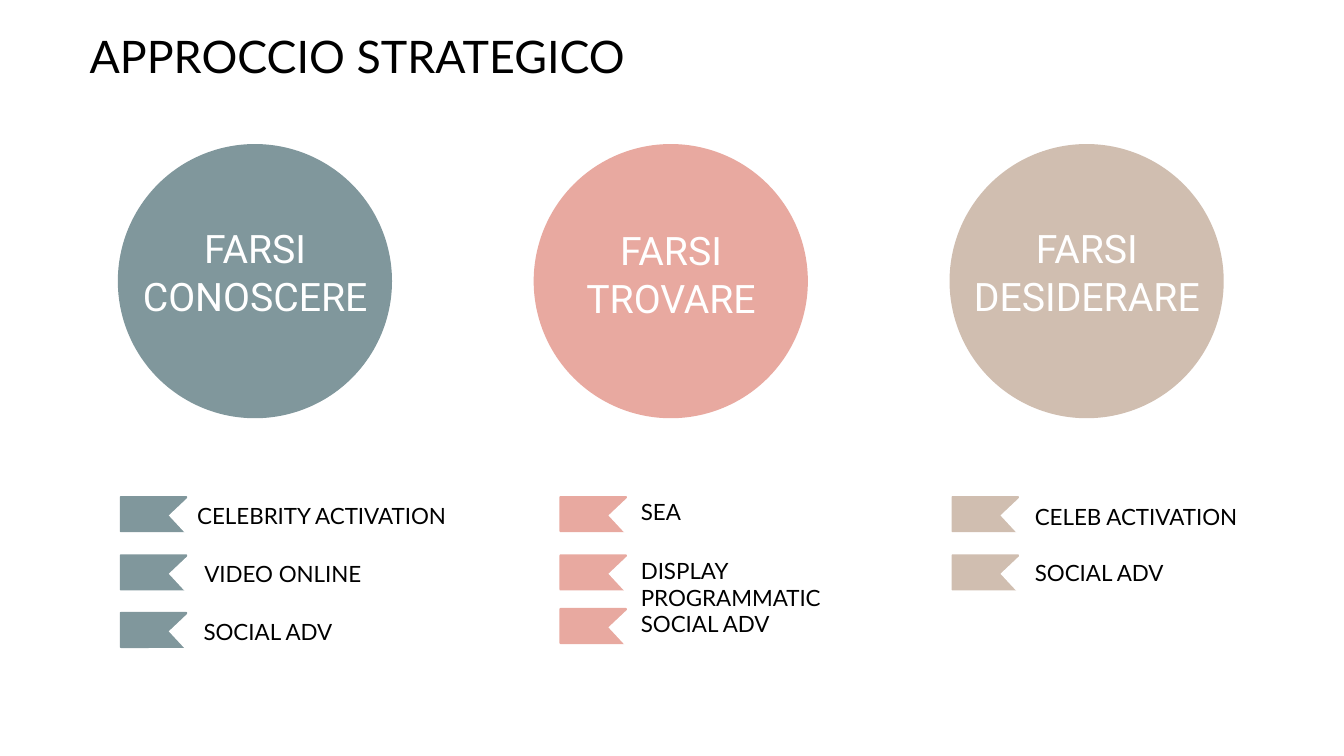
from pptx import Presentation
from pptx.dml.color import RGBColor
from pptx.enum.shapes import MSO_SHAPE as Shape
from pptx.enum.text import PP_ALIGN as Align
from pptx.util import Cm, Pt

BLACK, WHITE = "000000", "FFFFFF"
TITLE_FORMAT = {"name": "Lato", "size": Pt(32)}
CIRCLE_FORMAT = {"name": "Roboto", "size": Pt(28)}
ITEM_FORMAT = {"name": "Lato", "size": Pt(16)}

CIRCLE_LEFT, CIRCLE_TOP, CIRCLE_STEP, CIRCLE_SIZE = 2.97, 3.63, 10.48, 6.91
LABEL_OVERHANG, LABEL_WIDTH, LABEL_HEIGHT = 0.3, 7.52, 2.64
ITEM_HEIGHT = 0.94

# Each column: circle label and its top, colour, left of the tags, items.
# Each item: tag top, text, text left, text top, text width, options.
COLUMNS = [
    ("FARSI CONOSCERE", 5.54, "80979C", 3.02, [
        (12.5, "CELEBRITY ACTIVATION", 4.72, 12.52, 7.75, {}),
        (13.97, "VIDEO ONLINE", 4.9, 14, 4.57, {}),
        (15.42, "SOCIAL ADV", 4.88, 15.44, 3.78, {"wrap": False}),
    ]),
    ("FARSI TROVARE", 5.59, "E8A9A0", 14.1, [
        (12.5, "SEA", 15.9, 12.42, 1.52, {"wrap": False}),
        (13.97, "DISPLAY PROGRAMMATIC", 15.9, 13.92, 7.29, {"right_inset": 2.2}),
        (15.32, "SOCIAL ADV", 15.9, 15.24, 3.78, {"wrap": False}),
    ]),
    ("FARSI DESIDERARE", 5.54, "D0BEB0", 23.98, [
        (12.5, "CELEB ACTIVATION", 25.83, 12.55, 5.61, {"wrap": False}),
        (13.97, "SOCIAL ADV", 25.83, 13.97, 4.45, {}),
    ]),
]


def colour(value):
    return RGBColor.from_string(value)


def add_filled(shapes, kind, left, top, width, height, fill):
    shape = shapes.add_shape(kind, Cm(left), Cm(top), Cm(width), Cm(height))
    shape.shadow.inherit = False
    shape.fill.solid()
    shape.fill.fore_color.rgb = colour(fill)
    shape.line.fill.background()
    return shape


def add_text(slide, text, left, top, width, height, text_format, text_colour=BLACK,
             align=Align.LEFT, wrap=True, right_inset=0.25):
    box = slide.shapes.add_textbox(Cm(left), Cm(top), Cm(width), Cm(height))
    frame = box.text_frame
    frame.word_wrap = wrap
    frame.margin_right = Cm(right_inset)
    paragraph = frame.paragraphs[0]
    paragraph.alignment = align
    run = paragraph.add_run()
    run.text = text
    for name, value in text_format.items():
        setattr(run.font, name, value)
    run.font.color.rgb = colour(text_colour)


def add_circle(slide, left, label, label_top, fill):
    add_filled(slide.shapes, Shape.OVAL, left, CIRCLE_TOP, CIRCLE_SIZE, CIRCLE_SIZE, fill)
    add_text(slide, label, left - LABEL_OVERHANG, label_top, LABEL_WIDTH, LABEL_HEIGHT,
             CIRCLE_FORMAT, WHITE, Align.CENTER)


def add_tag(slide, left, top, fill):
    """Ribbon with a white notch cut into its right end."""
    shapes = slide.shapes.add_group_shape().shapes
    ribbon = add_filled(shapes, Shape.ROUNDED_RECTANGLE, left, top, 1.7, 0.91, fill)
    ribbon.adjustments[0] = 0.033
    notch = add_filled(shapes, Shape.ISOSCELES_TRIANGLE,
                       left + 0.99, top + 0.28, 0.97, 0.48, WHITE)
    notch.adjustments[0] = 0.534
    notch.rotation = 270


def main():
    presentation = Presentation()
    presentation.slide_width, presentation.slide_height = Cm(33.87), Cm(19.05)
    slide = presentation.slides.add_slide(presentation.slide_layouts[6])

    # Title
    add_text(slide, "APPROCCIO STRATEGICO", 2.01, 0.61, 14.15, 1.63,
             TITLE_FORMAT, wrap=False)

    # Three goals, each with its tagged channels
    for index, (label, label_top, fill, tag_left, items) in enumerate(COLUMNS):
        add_circle(slide, CIRCLE_LEFT + index * CIRCLE_STEP, label, label_top, fill)
        for tag_top, text, left, top, width, options in items:
            add_tag(slide, tag_left, tag_top, fill)
            add_text(slide, text, left, top, width, ITEM_HEIGHT, ITEM_FORMAT, **options)

    presentation.save("out.pptx")


if __name__ == "__main__":
    main()
